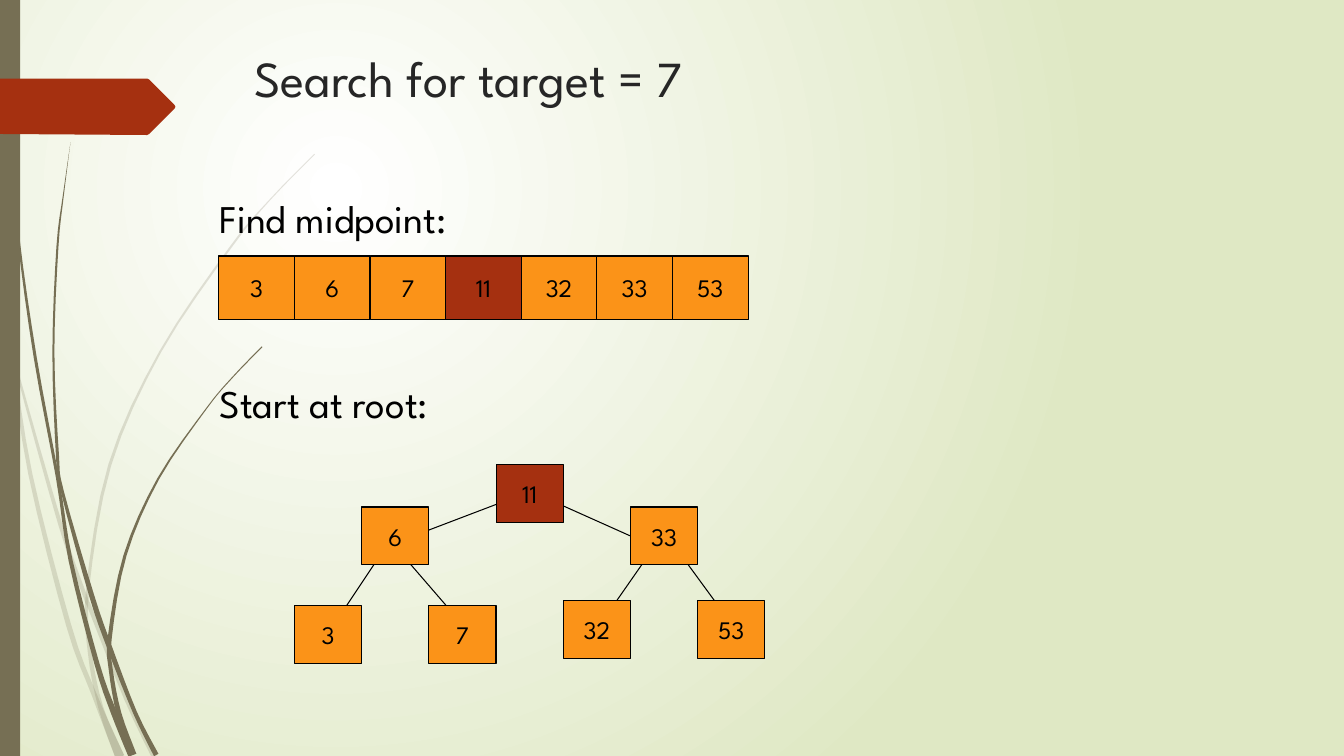
from math import hypot
from lxml import etree
from pptx import Presentation
from pptx import util as u
from pptx.dml.color import RGBColor
from pptx.enum import shapes, text
from pptx.oxml.ns import qn

FONT = "League Spartan"
BLACK, INK, OLIVE = "000000", "262626", "766F54"
ORANGE, RUST = "FB9318", "A53010"

KEYS = [3, 6, 7, 11, 32, 33, 53]
MIDPOINT = 11
ARRAY_LEFT, ARRAY_TOP, CELL_W, CELL_H = 2.17, 2.54, 0.75, 0.63
# Tree nodes stand in sorted order, one column for each key
TREE_LEFT, NODE_W, NODE_H = 2.92, 2 / 3, 0.575
NODE_TOPS = [6.01, 5.03, 6.01, 4.61, 5.96, 5.03, 5.96]
BRANCHES = [
    (5.09, 4.94, 4.04, 5.34), (5.41, 4.94, 6.46, 5.41),
    (3.79, 5.48, 3.35, 6.14), (3.97, 5.48, 4.6, 6.21),
    (6.59, 5.28, 5.9, 6.27), (6.59, 5.28, 7.27, 6.21),
]

# Grass blades: x, y and thickness along the middle of each blade
PALE_GRASS = [
    [(0, 2.9, 0.03), (0.11, 3.48, 0.03), (0.3, 4.7, 0.04), (0.68, 6.2, 0.05),
     (0.93, 6.88, 0.05), (1.19, 7.51, 0.09)],
    [(0.14, 3.45, 0), (0.17, 3.68, 0.02), (0.6, 5.21, 0.04), (0.85, 5.93, 0.04),
     (0.9, 6.05, 0.04), (1.25, 6.93, 0.04), (1.53, 7.51, 0.05)],
    [(3.12, 1.53, 0.01), (2.68, 1.98, 0.01), (2.29, 2.45, 0.02), (1.59, 3.49, 0.02),
     (1.09, 4.61, 0.03), (0.87, 5.84, 0.03), (0.89, 6.46, 0.04),
     (1, 7.02, 0.05), (1.19, 7.51, 0.09)],
]
DARK_GRASS = [
    [(0.04, 0, 0.01), (0.04, 0.48, 0.01), (0.08, 1.1, 0.01), (0.18, 2.33, 0.02),
     (0.35, 3.55, 0.03), (0.57, 4.74, 0.03), (0.7, 5.56, 0.04),
     (0.96, 6.58, 0.05), (1.13, 7.07, 0.06), (1.31, 7.49, 0.08)],
    [(0.7, 1.41, 0), (0.63, 1.93, 0.01), (0.57, 2.45, 0.02), (0.53, 3.49, 0.02),
     (0.57, 4.51, 0.03), (0.62, 4.88, 0.03), (0.91, 5.91, 0.05),
     (1.09, 6.43, 0.05), (1.34, 7.07, 0.04), (1.55, 7.49, 0.05)],
    [(2.6, 3.44, 0.01), (2.31, 3.74, 0.01), (2.05, 4.05, 0.01), (1.57, 4.75, 0.02),
     (1.24, 5.51, 0.03), (1.09, 6.32, 0.04), (1.1, 6.65, 0.04),
     (1.18, 7.08, 0.05), (1.32, 7.49, 0.07)],
]
RIBBON = [(0, 0.78), (1.46, 0.78), (1.48, 0.79), (1.73, 1.04), (1.74, 1.06),
          (1.73, 1.08), (1.48, 1.33), (1.46, 1.34), (0, 1.33)]


def color(value):
    return RGBColor.from_string(value)


def write(frame, words, size, ink=BLACK, align=text.PP_ALIGN.LEFT):
    paragraph = frame.paragraphs[0]
    paragraph.alignment = align
    run = paragraph.add_run()
    run.text = words
    run.font.size, run.font.name = u.Pt(size), FONT
    run.font.color.rgb = color(ink)


def paint_background(slide):
    fill = slide.background.fill
    fill.gradient()
    for stop, tint in zip(fill.gradient_stops, ["FFFFFF", "DFE8C4"]):
        stop.color.rgb = color(tint)
    gradient = slide.element.find(".//" + qn("a:gradFill"))
    gradient.remove(gradient.find(qn("a:lin")))
    circle = etree.SubElement(gradient, qn("a:path"), path="circle")
    etree.SubElement(circle, qn("a:fillToRect"),
                     l="50000", t="50000", r="100000", b="100000")


def add_outline(slide, points, tint, opacity=100):
    corners = [(u.Inches(x), u.Inches(y)) for x, y in points]
    builder = slide.shapes.build_freeform(*corners[0])
    builder.add_line_segments(corners[1:], close=True)
    outline = builder.convert_to_shape()
    outline.shadow.inherit = False
    outline.fill.solid()
    outline.fill.fore_color.rgb = color(tint)
    outline.line.fill.background()
    if opacity < 100:
        rgb = outline.element.spPr.find(".//" + qn("a:srgbClr"))
        etree.SubElement(rgb, qn("a:alpha"), val=str(opacity * 1000))


def smooth(knots, steps=4):
    """Catmull-Rom curve through the knots."""
    padded = [knots[0], *knots, knots[-1]]
    curve = []
    for a, b, c, d in zip(padded, padded[1:], padded[2:], padded[3:]):
        for t in (step / steps for step in range(steps)):
            curve.append([
                q + t / 2 * (r - p + t * (2 * p - 5 * q + 4 * r - s
                                          + t * (3 * (q - r) + s - p)))
                for p, q, r, s in zip(a, b, c, d)])
    return curve + [knots[-1]]


def add_blade(slide, knots, opacity):
    curve = smooth(knots)
    near, far = [], []
    for before, (x, y, thick), after in zip(
            [curve[0]] + curve, curve, curve[1:] + [curve[-1]]):
        dx, dy = after[0] - before[0], after[1] - before[1]
        reach = thick / 2 / hypot(dx, dy)
        near.append((x - dy * reach, y + dx * reach))
        far.append((x + dy * reach, y - dx * reach))
    add_outline(slide, near + far[::-1], OLIVE, opacity)


def add_box(slide, left, top, width, height, tint, edge=BLACK):
    box = slide.shapes.add_shape(shapes.MSO_SHAPE.RECTANGLE,
                                 *map(u.Inches, (left, top, width, height)))
    box.shadow.inherit = False
    box.fill.solid()
    box.fill.fore_color.rgb = color(tint)
    if edge:
        box.line.color.rgb = color(edge)
        box.line.width = u.Pt(0.75)
    else:
        box.line.fill.background()
    return box


def add_key(slide, key, left, top, width, height):
    tint = RUST if key == MIDPOINT else ORANGE
    frame = add_box(slide, left, top, width, height, tint).text_frame
    frame.word_wrap = False
    frame.vertical_anchor = text.MSO_ANCHOR.MIDDLE
    write(frame, str(key), 18, align=text.PP_ALIGN.CENTER)


def add_branch(slide, ends):
    branch = slide.shapes.add_connector(shapes.MSO_CONNECTOR.STRAIGHT,
                                        *map(u.Inches, ends))
    branch.line.color.rgb = color(BLACK)
    branch.line.width = u.Pt(0.75)
    etree.SubElement(branch.element.spPr, qn("a:effectLst"))


def add_label(slide, words, top, width, height):
    label = slide.shapes.add_textbox(*map(u.Inches, (2.08, top, width, height)))
    label.text_frame.word_wrap = True
    write(label.text_frame, words, 28)


def set_title(slide, words):
    title = slide.shapes.title
    title.left, title.top, title.width, title.height = map(
        u.Inches, (2.42, 0.42, 8.5, 1.25))
    title.text_frame.vertical_anchor = text.MSO_ANCHOR.TOP
    write(title.text_frame, words, 36, INK)


def main():
    deck = Presentation()
    deck.slide_width, deck.slide_height = u.Inches(13.33), u.Inches(7.5)
    slide = deck.slides.add_slide(deck.slide_layouts[5])

    # Backdrop
    paint_background(slide)
    for grass, opacity in ((PALE_GRASS, 20), (DARK_GRASS, 100)):
        for blade in grass:
            add_blade(slide, blade, opacity)
    add_box(slide, 0, 0, 0.2, 7.5, OLIVE, edge=None)
    add_outline(slide, RIBBON, RUST)

    # Headings
    set_title(slide, "Search for target = 7")
    add_label(slide, "Start at root:", 3.71, 2.54, 3.4)
    add_label(slide, "Find midpoint:", 1.88, 6.92, 3.37)

    # Sorted array
    for column, key in enumerate(KEYS):
        add_key(slide, key, ARRAY_LEFT + column * CELL_W, ARRAY_TOP, CELL_W, CELL_H)

    # Search tree, branches behind the nodes
    for ends in BRANCHES:
        add_branch(slide, ends)
    for column, (key, top) in enumerate(zip(KEYS, NODE_TOPS)):
        add_key(slide, key, TREE_LEFT + column * NODE_W, top, NODE_W, NODE_H)

    deck.save("out.pptx")


main()
